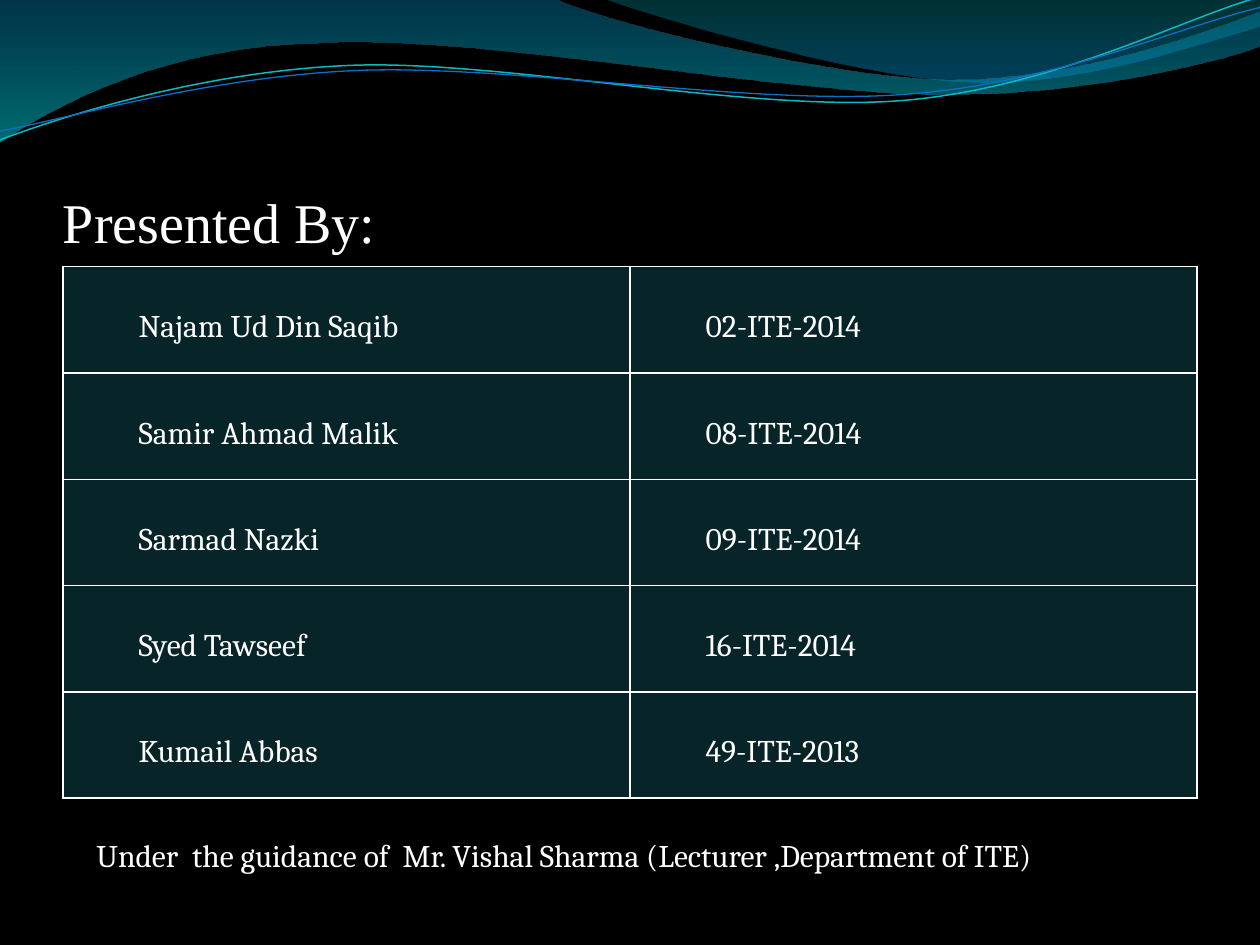
"""Build the "Presented By" slide with its wave header and table of presenters."""
import math
from dataclasses import dataclass
from typing import Any

import lxml.etree
import pptx
import pptx.dml.color
import pptx.enum.text
import pptx.oxml.ns
import pptx.util

Pt = pptx.util.Pt
qn = pptx.oxml.ns.qn

COLORS = {
    "background": "000000", "text": "FFFFFF", "border": "FFFFFF", "cell": "072428",
    "deep_blue": "0074A1", "aqua": "00C6CF", "teal": "00A1A9", "sky": "008BBF",
    "cyan_line": "0AB8BF", "blue_line": "0F6FC6",
}
CAMBRIA = {"name": "Cambria", "size": Pt(18), "bold": False}
TIMES = {"name": "Times New Roman", "size": Pt(32), "bold": False}
ROW_HEIGHT = 60.75
COLUMN_WIDTH = 324


@dataclass
class Stop:
    position: float
    color: str
    opacity: int


@dataclass
class Wave:
    start: tuple[float, float]
    segments: list[tuple[float, ...]]
    stops: tuple[Stop, ...] = ()
    line_color: str = ""
    line_width: float = 0
    rotation: float = 0
    pivot: tuple[float, float] = (0, 0)


@dataclass
class Caption:
    text: str
    box: tuple[float, float, float, float]
    font: dict[str, Any]
    frame: dict[str, Any]


@dataclass
class Presenter:
    name: str
    roll_number: str


WAVES = [
    Wave((0, 0), [
        (316.8, -0.7),
        (342.7, 12.2, 478.1, 45.4, 545.8, 45.4),
        (614.2, 45.4, 689.8, 18.7, 720, 6.5),
        (720.7, 25.9),
        (707.8, 31.7, 626.4, 54.7, 537.1, 54),
        (447.8, 54, 275, 20.2, 185, 24.5),
        (92.9, 25.9, 33.1, 59.8, -0.7, 81.4),
    ], stops=(Stop(0, "deep_blue", 45), Stop(1, "aqua", 55))),
    Wave((344.9, -0.7), [
        (366.5, 7.9, 491, 44.6, 553.7, 46.8),
        (616.3, 49.7, 691.9, 23, 720, 15.1),
        (720, 0),
    ], stops=(Stop(0, "teal", 30), Stop(0.8, "sky", 45))),
    Wave((0, 79.9), [
        (34.6, 67, 113.8, 41, 199.4, 37.4),
        (284.4, 33.8, 427, 64.1, 513.4, 57.6),
        (599.8, 51.1, 675.4, 10.8, 718.6, -1.4),
    ], line_color="cyan_line", line_width=0.85, rotation=357.3, pivot=(359.3, 41.4)),
    Wave((0, 74.9), [
        (33.8, 69.1, 118.1, 43.9, 203.8, 40.3),
        (290.2, 36.7, 429.8, 60.5, 516.2, 54),
        (601.9, 48.2, 673.9, 15.1, 720, 4.3),
    ], line_color="blue_line", line_width=0.75, rotation=357.3, pivot=(359.6, 42.5)),
]
TITLE = Caption("Presented By:", (36, 55.44, 648, 90), TIMES, {
    "margin_left": 0, "margin_top": Pt(3.6), "margin_right": 0, "margin_bottom": 0,
    "vertical_anchor": pptx.enum.text.MSO_ANCHOR.BOTTOM, "word_wrap": True})
GUIDANCE = Caption(
    "Under  the guidance of  Mr. Vishal Sharma (Lecturer ,Department of ITE)",
    (48, 474, 636, 29), CAMBRIA, {
        "auto_size": pptx.enum.text.MSO_AUTO_SIZE.SHAPE_TO_FIT_TEXT, "word_wrap": True})
PRESENTERS = [
    Presenter("Najam Ud Din Saqib", "02-ITE-2014"),
    Presenter("Samir Ahmad Malik", "08-ITE-2014"),
    Presenter("Sarmad Nazki", "09-ITE-2014"),
    Presenter("Syed Tawseef", "16-ITE-2014"),
    Presenter("Kumail Abbas", "49-ITE-2013"),
]


def rgb(color: str) -> pptx.dml.color.RGBColor:
    return pptx.dml.color.RGBColor.from_string(COLORS[color])


def set_all(target: Any, values: dict[str, Any]) -> None:
    for attribute, value in values.items():
        setattr(target, attribute, value)


def write(paragraph: Any, text: str, font: dict[str, Any]) -> None:
    run = paragraph.add_run()
    run.text = text
    set_all(run.font, font)
    run.font.color.rgb = rgb("text")


def level_points(wave: Wave) -> list[tuple[int, int]]:
    points = [wave.start]
    for segment in wave.segments:
        points += zip(segment[::2], segment[1::2])
    angle = math.radians(-wave.rotation)
    cos, sin = math.cos(angle), math.sin(angle)
    pivot_x, pivot_y = wave.pivot
    return [(Pt(pivot_x + (x - pivot_x) * cos - (y - pivot_y) * sin),
             Pt(pivot_y + (x - pivot_x) * sin + (y - pivot_y) * cos)) for x, y in points]


def bend_segments(band: Any, wave: Wave) -> None:
    vertices = band._element.iter(qn("a:lnTo"))
    remaining = iter(list(vertices))
    for segment in wave.segments:
        first, *others = [next(remaining) for _ in segment[::2]]
        if others:
            first.addprevious(curve := lxml.etree.Element(qn("a:cubicBezTo")))
            for vertex in (first, *others):
                curve.append(vertex[0])
                vertex.getparent().remove(vertex)


def fill_gradient(fill: Any, stops: tuple[Stop, ...]) -> None:
    fill.gradient()
    fill.gradient_angle = 270
    for gradient_stop, stop in zip(fill.gradient_stops, stops):
        gradient_stop.position = stop.position
        gradient_stop.color.rgb = rgb(stop.color)
    for color, stop in zip(fill._xPr.iter(qn("a:srgbClr")), stops):
        lxml.etree.SubElement(color, qn("a:alpha"), val=str(stop.opacity * 1000))


def draw_wave(slide: Any, wave: Wave) -> None:
    first, *rest = level_points(wave)
    builder = slide.shapes.build_freeform(*first)
    builder.add_line_segments(rest, close=bool(wave.stops))
    band = builder.convert_to_shape()
    bend_segments(band, wave)
    band.rotation = wave.rotation
    band.shadow.inherit = False
    if wave.stops:
        fill_gradient(band.fill, wave.stops)
        band.line.fill.background()
    else:
        band.fill.background()
        band.line.color.rgb = rgb(wave.line_color)
        band.line.width = Pt(wave.line_width)


def draw_caption(slide: Any, caption: Caption) -> None:
    frame = slide.shapes.add_textbox(*map(Pt, caption.box)).text_frame
    set_all(frame, caption.frame)
    write(frame.paragraphs[0], caption.text, caption.font)


def draw_cell(cell: Any, text: str) -> None:
    paragraph = cell.text_frame.paragraphs[0]
    set_all(paragraph, {"level": 1, "line_spacing": 2.0})
    properties = paragraph._p.get_or_add_pPr()
    properties.set("marL", str(Pt(36)))
    properties.set("indent", "0")
    write(paragraph, text, CAMBRIA)
    borders = cell._tc.get_or_add_tcPr()
    for side in ("a:lnL", "a:lnR", "a:lnT", "a:lnB"):
        line = lxml.etree.SubElement(borders, qn(side), w=str(Pt(1)))
        solid = lxml.etree.SubElement(line, qn("a:solidFill"))
        lxml.etree.SubElement(solid, qn("a:srgbClr"), val=COLORS["border"])
    cell.fill.solid()
    cell.fill.fore_color.rgb = rgb("cell")


def draw_presenters(slide: Any, presenters: list[Presenter]) -> None:
    roster = slide.shapes.add_table(
        len(presenters), 2, Pt(36), Pt(152.4),
        Pt(2 * COLUMN_WIDTH), Pt(len(presenters) * ROW_HEIGHT)).table
    set_all(roster, {"first_row": False, "horz_banding": False})
    for index, presenter in enumerate(presenters):
        roster.rows[index].height = Pt(ROW_HEIGHT)
        draw_cell(roster.cell(index, 0), presenter.name)
        draw_cell(roster.cell(index, 1), presenter.roll_number)


def main() -> None:
    deck = pptx.Presentation()
    set_all(deck, {"slide_width": Pt(720), "slide_height": Pt(540)})
    slide = deck.slides.add_slide(deck.slide_layouts[6])
    slide.background.fill.solid()
    slide.background.fill.fore_color.rgb = rgb("background")
    for wave in WAVES:
        draw_wave(slide, wave)
    draw_caption(slide, TITLE)
    draw_presenters(slide, PRESENTERS)
    draw_caption(slide, GUIDANCE)
    deck.save("out.pptx")


if __name__ == "__main__":
    main()
